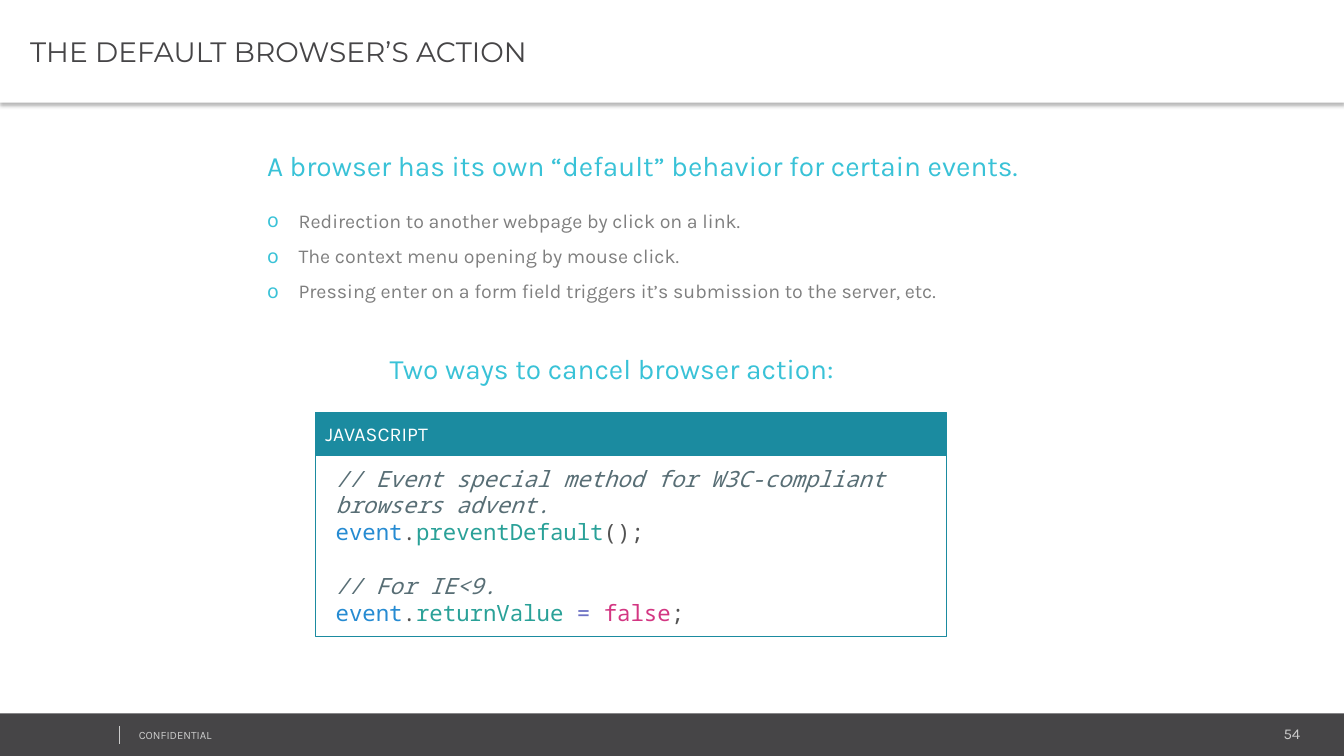
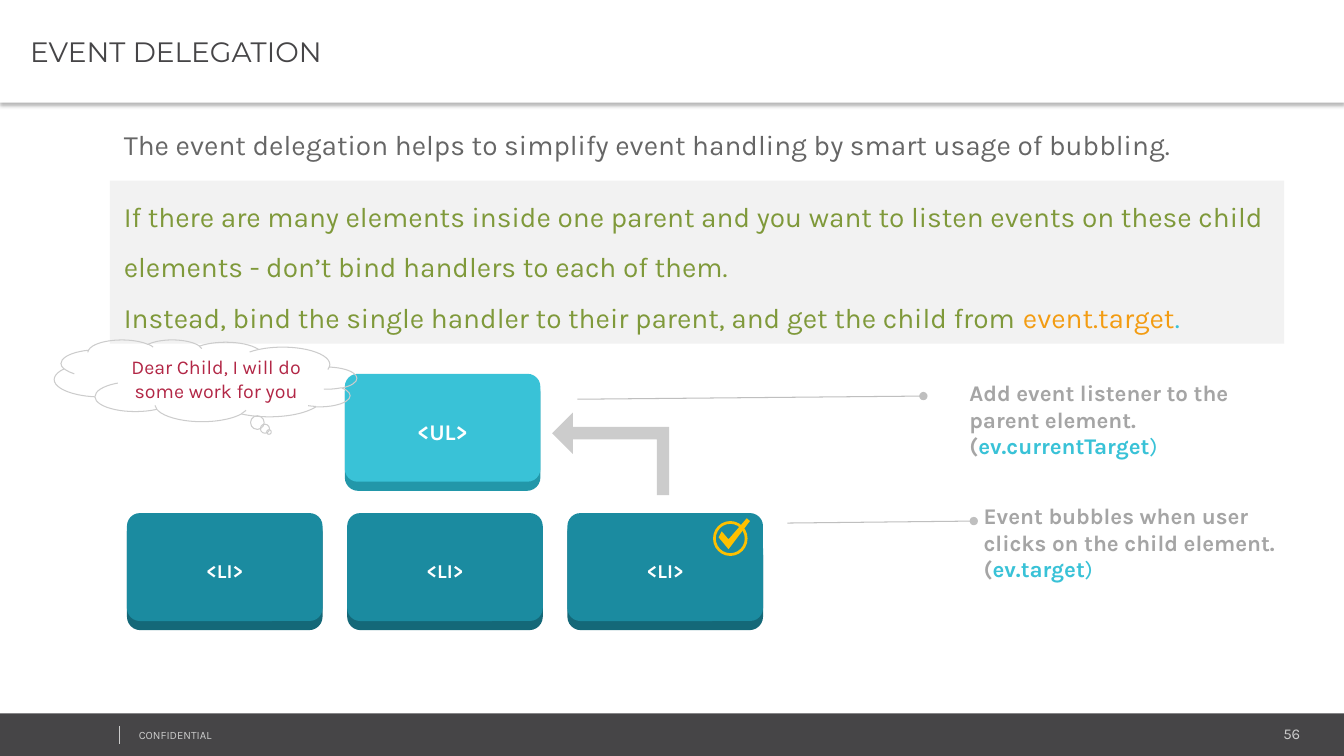
import pptx
import pptx.dml.color
import pptx.enum.shapes
import pptx.enum.text
import pptx.oxml
import pptx.oxml.ns
import pptx.util

Cm = pptx.util.Cm
Pt = pptx.util.Pt
KIND = pptx.enum.shapes.MSO_SHAPE
ALIGN = pptx.enum.text.PP_ALIGN
ANCHOR = pptx.enum.text.MSO_ANCHOR

WIDE, HIGH = 33.87, 19.05
SANS, HEAD, MONO = "Karla", "Montserrat", "Noto Sans Mono"
CYAN, TEAL, DARK, WHITE = "39C2D7", "1B8BA0", "464547", "FFFFFF"
PALE, GREY = "CCCCCC", "BFBFBF"

LOOKS = {
    "title": {"name": HEAD, "size": Pt(20), "color": DARK},
    "lead": {"name": SANS, "size": Pt(20), "color": CYAN},
    "intro": {"name": SANS, "size": Pt(20), "color": "666666"},
    "advice": {"name": SANS, "size": Pt(20), "color": "7F993A"},
    "list": {"name": SANS, "size": Pt(14), "color": "7F7F7F"},
    "label": {"name": SANS, "size": Pt(14), "color": WHITE},
    "parent": {"name": SANS, "size": Pt(16), "color": WHITE, "bold": True},
    "child": {"name": SANS, "size": Pt(14), "color": WHITE, "bold": True},
    "note": {"name": SANS, "size": Pt(16), "color": "A5A5A5", "bold": True},
    "cloud": {"name": SANS, "size": Pt(14), "color": "B22746"},
    "code": {"name": MONO, "size": Pt(16), "color": "535353"},
    "page": {"name": SANS, "size": Pt(10.7), "color": PALE},
    "foot": {"name": SANS, "size": Pt(8), "color": PALE},
}
REMARK = {"color": "586E75", "italic": True}
OBJECT, MEMBER = {"color": "268BD2"}, {"color": "2AA198"}
SIGN, VALUE = {"color": "6C71C4"}, {"color": "D33682"}


def hue(code):
    return pptx.dml.color.RGBColor.from_string(code)


def put(item, values):
    """Set each value of a dict on the item; a colour is given as hex."""
    for key, value in values.items():
        if key == "color":
            item.color.rgb = hue(value)
        else:
            setattr(item, key, value)


def grow(node, markup):
    """Append a drawing element, given without its namespace, to the node."""
    space = pptx.oxml.ns.nsdecls("a")
    head, rest = markup.split(" ", 1)
    node.append(pptx.oxml.parse_xml(f"{head} {space} {rest}"))


class Deck:
    """Holds the style and the slide being built; lengths are in cm."""

    def __init__(self):
        self.show = pptx.Presentation()
        self.show.slide_width, self.show.slide_height = Cm(WIDE), Cm(HIGH)

    def start(self, layout, title, number):
        self.slide = self.show.slides.add_slide(self.show.slide_layouts[layout])
        self.shapes = self.slide.shapes
        self.block(KIND.RECTANGLE, 0, 17.98, WIDE, 1.07, DARK)
        self.label(27.48, 18.14, 5.54, 0.71, [[number]], "page", ALIGN.RIGHT)
        self.label(3.25, 18.24, 8.59, 0.61, [["CONFIDENTIAL"]], "foot")
        self.line(3.02, 18.29, 3.02, 18.75, PALE)
        bar = self.shapes.title
        self.place(bar, 0, 0, WIDE, 2.59)
        self.paint(bar, WHITE)
        grow(bar.element.spPr,
             '<a:effectLst ><a:outerShdw blurRad="39370" dist="25400" '
             'dir="5400000" algn="t" rotWithShape="0"><a:srgbClr val="000000">'
             '<a:alpha val="30000"/></a:srgbClr></a:outerShdw></a:effectLst>')
        self.word(bar, [[title]], "title", margin_left=Cm(0.76),
                  vertical_anchor=ANCHOR.MIDDLE)

    def place(self, shape, x, y, w, h):
        put(shape, {"left": Cm(x), "top": Cm(y), "width": Cm(w), "height": Cm(h)})

    def paint(self, shape, fill=None, line=None):
        if fill:
            shape.fill.solid()
            shape.fill.fore_color.rgb = hue(fill)
        else:
            shape.fill.background()
        if line:
            put(shape.line, {"color": line, "width": Pt(0.75)})
        else:
            shape.line.fill.background()

    def block(self, kind, x, y, w, h, fill=None, line=None, adjust=()):
        shape = self.shapes.add_shape(kind, Cm(x), Cm(y), Cm(w), Cm(h))
        shape.shadow.inherit = False
        for index, value in enumerate(adjust):
            shape.adjustments[index] = value
        self.paint(shape, fill, line)
        return shape

    def word(self, shape, lines, look, align=ALIGN.LEFT, space=1.0, **frame):
        """Fill a shape with lines of runs; a run is a text or (text, changes)."""
        text = shape.text_frame
        put(text, {"word_wrap": True,
                   "auto_size": pptx.enum.text.MSO_AUTO_SIZE.NONE,
                   "vertical_anchor": ANCHOR.TOP, **frame})
        for index, line in enumerate(lines):
            para = text.add_paragraph() if index else text.paragraphs[0]
            put(para, {"alignment": align, "line_spacing": space,
                       "space_before": Pt(0)})
            for part in line:
                words, change = (part, {}) if isinstance(part, str) else part
                run = para.add_run()
                run.text = words
                put(run.font, {**LOOKS[look], **change})
        return text

    def label(self, x, y, w, h, lines, look, align=ALIGN.LEFT):
        box = self.shapes.add_textbox(Cm(x), Cm(y), Cm(w), Cm(h))
        self.word(box, lines, look, align)

    def points(self, x, y, w, h, items):
        body = self.slide.placeholders[1]
        self.place(body, x, y, w, h)
        text = self.word(body, [[item] for item in items], "list", space=1.5)
        for para in text.paragraphs:
            props = para._p.get_or_add_pPr()
            props.set("marL", str(Cm(0.79)))
            props.set("indent", str(-Cm(0.79)))
            grow(props, f'<a:buClr ><a:srgbClr val="{CYAN}"/></a:buClr>')
            grow(props, f'<a:buFont typeface="{MONO}"/>')
            grow(props, '<a:buChar char="o"/>')

    def line(self, x, y, right, low, color, dot=False):
        kind = pptx.enum.shapes.MSO_CONNECTOR.STRAIGHT
        rule = self.shapes.add_connector(kind, Cm(x), Cm(y), Cm(right), Cm(low))
        put(rule.line, {"color": color, "width": Pt(0.75)})
        props = rule.element.spPr
        if dot:
            grow(props.find(pptx.oxml.ns.qn("a:ln")), '<a:tailEnd type="oval"/>')
        grow(props, "<a:effectLst />")

    def code(self, x, y, w, h, name, lines):
        """Draw a code panel under its language bar; return its text frame."""
        bar = 1.09
        head = self.block(KIND.RECTANGLE, x, y, w, bar, TEAL, TEAL)
        self.word(head, [[name]], "label", vertical_anchor=ANCHOR.MIDDLE)
        body = self.block(KIND.RECTANGLE, x, y + bar, w, h - bar, None, TEAL)
        return self.word(body, lines, "code", margin_left=Cm(0.51),
                         margin_top=Cm(0.23))

    def card(self, x, y, words, look, face, edge):
        """Draw a rounded card on a darker edge that shows below it."""
        kind = KIND.ROUNDED_RECTANGLE
        self.block(kind, x, y + 0.13, 4.93, 2.82, edge, adjust=[0.12])
        front = self.block(kind, x, y, 4.93, 2.72, face, adjust=[0.12])
        self.word(front, [[words]], look, ALIGN.CENTER, margin_top=Cm(0.2),
                  margin_bottom=0, vertical_anchor=ANCHOR.MIDDLE)

    def tick(self, x, y, color):
        """Draw a ring with a check mark that reaches over its edge."""
        self.block(KIND.DONUT, x, y, 0.87, 0.88, color, adjust=[0.08])
        spots = [(0.14, 0.41), (0.22, 0.26), (0.39, 0.46),
                 (0.85, -0.07), (0.93, 0), (0.39, 0.71)]
        spots = [(Cm(x + dx), Cm(y + dy)) for dx, dy in spots]
        pen = self.shapes.build_freeform(*spots[0])
        pen.add_line_segments(spots[1:], close=True)
        mark = pen.convert_to_shape()
        mark.shadow.inherit = False
        self.paint(mark, color)


def cancel(deck):
    deck.start(1, "THE DEFAULT BROWSER’S ACTION", "54")
    deck.label(6.48, 3.61, 20.02, 1.12, [[
        "A browser has its own “default” behavior for certain events."]], "lead")
    deck.points(6.48, 4.83, 20.02, 2.95, [
        "Redirection to another webpage by click on a link.",
        "The context menu opening by mouse click.",
        "Pressing enter on a form field triggers it’s submission to the server, etc.",
    ])
    deck.label(5.41, 8.74, 20.02, 1.12,
               [["Two ways to cancel browser action:"]], "lead", ALIGN.CENTER)
    text = deck.code(7.95, 10.39, 15.9, 5.66, "JAVASCRIPT", [
        [("// Event special method for W3C-compliant browsers advent.", REMARK)],
        [("event", OBJECT), ".", ("preventDefault", MEMBER), "();"],
        [("// For IE<9.", REMARK)],
        [("event", OBJECT), ".", ("returnValue ", MEMBER), ("= ", SIGN),
         ("false", VALUE), ";"],
    ])
    text.paragraphs[2].space_before = Pt(19)


def bubble(deck):
    deck.start(5, "EVENT DELEGATION", "56")
    deck.label(2.87, 3.1, 28.12, 1.12, [[
        "The event delegation helps to simplify event handling "
        "by smart usage of bubbling."]], "intro")
    panel = deck.block(KIND.RECTANGLE, 2.77, 4.55, 29.59, 4.11, "F2F2F2")
    deck.word(panel, [
        ["If there are many elements inside one parent and you want to listen "
         "events on these child elements - don’t bind handlers to each of them."],
        ["Instead, bind the single handler to their parent, "
         "and get the child from ",
         ("event.target", {"color": "F39C12"}), (".", {"color": CYAN})],
    ], "advice", space=1.5, margin_left=Cm(0.35), margin_right=Cm(0.15),
        margin_top=Cm(0.05))

    deck.card(8.69, 9.42, "<UL>", "parent", CYAN, "2297A9")
    for index in range(3):
        deck.card(3.2 + 5.55 * index, 12.93, "<LI>", "child", TEAL, "146878")
    deck.tick(17.97, 13.13, "FFC000")
    arrow = deck.block(KIND.BENT_UP_ARROW, 14.35, 9.96, 2.08, 2.95, PALE,
                       adjust=[0.15, 0.25, 0.25])
    arrow.rotation = 270

    deck.line(14.55, 10.06, 23.27, 9.98, GREY, dot=True)
    deck.line(19.84, 13.18, 24.54, 13.13, GREY, dot=True)
    notes = [
        (24.18, 9.42, 7.65, "Add event listener to the parent element.",
         "ev.currentTarget"),
        (24.54, 12.52, 7.92, "Event bubbles when user clicks on the child element.",
         "ev.target"),
    ]
    for x, y, w, words, name in notes:
        deck.label(x, y, w, 2.31, [
            [words],
            ["(", (name, {"color": CYAN}), (")", {"color": CYAN, "bold": False})],
        ], "note")

    cloud = deck.block(KIND.CLOUD_CALLOUT, 1.37, 8.56, 7.62, 2.06, None, PALE,
                       [-0.21, 0.63])
    cloud.element.spPr.get_or_add_xfrm().set("flipH", "1")
    deck.word(cloud, [["Dear Child, I will do some work for you"]], "cloud",
              ALIGN.CENTER, vertical_anchor=ANCHOR.MIDDLE)


def main():
    deck = Deck()
    cancel(deck)
    bubble(deck)
    deck.show.save("out.pptx")


if __name__ == "__main__":
    main()
